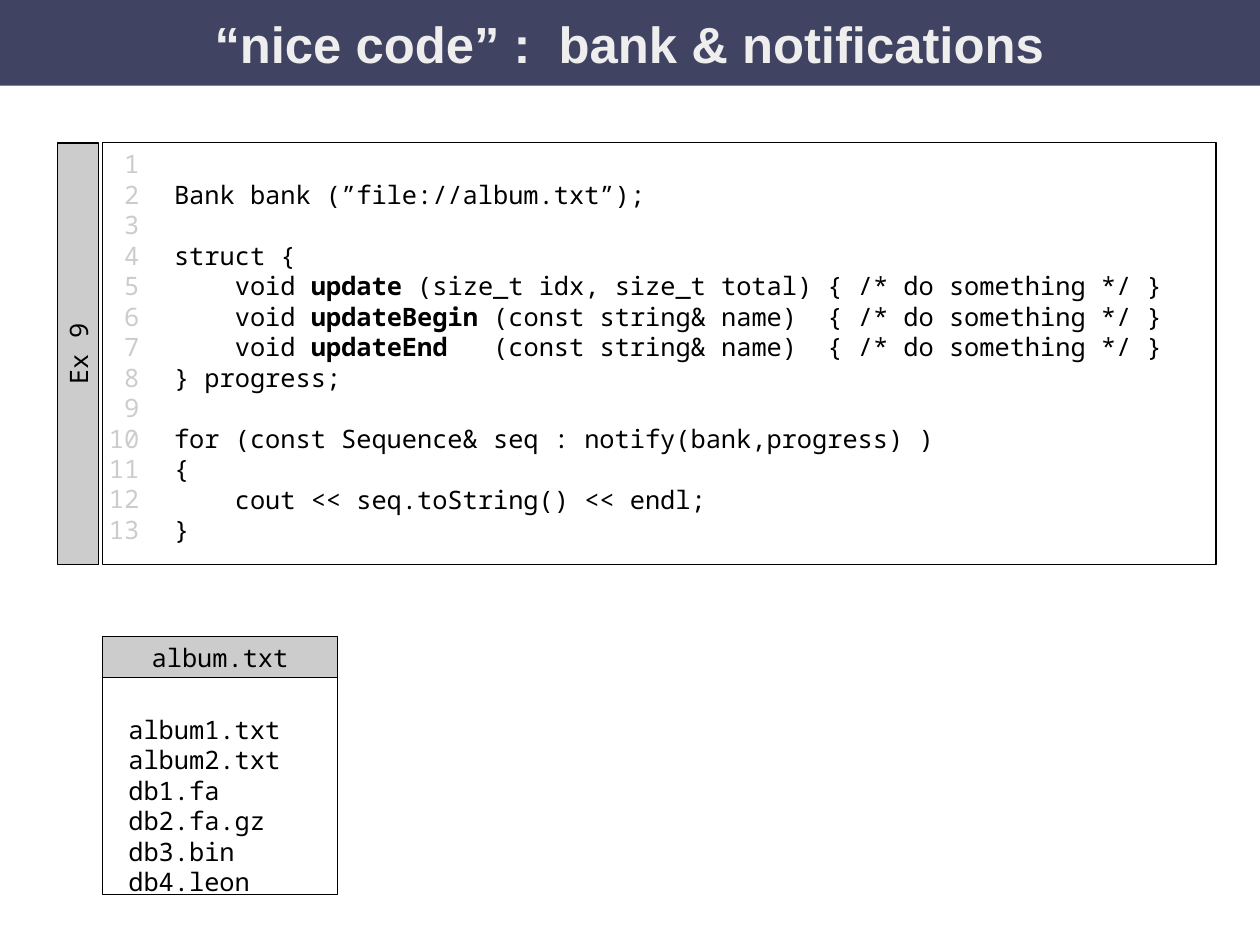
from pptx import Presentation
from pptx.dml.color import RGBColor
from pptx.enum.shapes import MSO_SHAPE
from pptx.enum.text import MSO_ANCHOR, PP_ALIGN
from pptx.util import Inches, Pt

# Content: each line is a list of pieces, every second piece is bold;
# an empty line is a gap before the next one
TITLE = "“nice code” :  bank & notifications"
LABEL = "Ex 9"
CODE = [
    [],
    ["Bank bank (”file://album.txt”);"],
    [],
    ["struct {"],
    ["    void ", "update", " (size_t idx, size_t total) { /* do something */ }"],
    ["    void ", "updateBegin", " (const string& name)  { /* do something */ }"],
    ["    void ", "updateEnd", "   (const string& name)  { /* do something */ }"],
    ["} progress;"],
    [],
    ["for (const Sequence& seq : notify(bank,progress) )"],
    ["{"],
    ["    cout << seq.toString() << endl;"],
    ["}"],
]
ALBUM = "album.txt"
FILES = ["album1.txt", "album2.txt", "db1.fa", "db2.fa.gz", "db3.bin", "db4.leon"]

# Colours and sizes
NAVY = RGBColor(0x41, 0x43, 0x63)
PALE = RGBColor(0xEE, 0xEE, 0xEE)
GREY = RGBColor(0xCC, 0xCC, 0xCC)
BLACK = RGBColor(0, 0, 0)
MONO = "Noto Sans Mono"
WIDE, HIGH = 28 / 2.54, 21 / 2.54  # 28 by 21 cm
SIZE = 16
PITCH = 1.2 * SIZE      # line height in points
CHAR = 0.6 * SIZE / 72  # letter width in inches
PAD = 0.09
LEFT, TOP = 0.9, 1.25
CODE_H, BAR = 3.69, 0.36

deck = Presentation()
deck.slide_width, deck.slide_height = Inches(WIDE), Inches(HIGH)
slide = deck.slides.add_slide(deck.slide_layouts[6])


def write(shape, lines, size=SIZE, font=MONO, color=BLACK, bold=False,
          align=PP_ALIGN.LEFT, anchor=MSO_ANCHOR.TOP, left=PAD, right=PAD):
    frame = shape.text_frame
    frame.word_wrap = True
    frame.vertical_anchor = anchor
    frame.margin_left, frame.margin_right = Inches(left), Inches(right)
    frame.margin_top = frame.margin_bottom = Inches(0.05)
    gap, first = 0, True
    for line in lines:
        if not line:
            gap += PITCH
            continue
        if first:
            para = frame.paragraphs[0]
            frame.margin_top += Pt(gap)
        else:
            para = frame.add_paragraph()
            para.space_before = Pt(gap)
        gap, first = 0, False
        para.alignment = align
        for spot, piece in enumerate(line):
            run = para.add_run()
            run.text = piece
            run.font.size, run.font.name = Pt(size), font
            run.font.bold = bold or spot % 2 == 1
            run.font.color.rgb = color


def panel(x, y, w, h, fill=None, edge=BLACK):
    box = slide.shapes.add_shape(
        MSO_SHAPE.RECTANGLE, Inches(x), Inches(y), Inches(w), Inches(h))
    box.shadow.inherit = False
    if fill is None:
        box.fill.background()
    else:
        box.fill.solid()
        box.fill.fore_color.rgb = fill
    if edge is None:
        box.line.fill.background()
    else:
        box.line.color.rgb = edge
        box.line.width = Pt(0)
    return box


# Code with its side label
write(panel(LEFT, TOP, 9.74, CODE_H), CODE, left=PAD + 4 * CHAR)
mid_x, mid_y = 0.68, TOP + CODE_H / 2
side = panel(mid_x - CODE_H / 2, mid_y - BAR / 2, CODE_H, BAR, fill=GREY)
side.rotation = 270
write(side, [[LABEL]], align=PP_ALIGN.CENTER)

# Title band
write(panel(0, 0, WIDE, 0.75, fill=NAVY, edge=None), [[TITLE]], size=32,
      font="Arial", color=PALE, bold=True, align=PP_ALIGN.CENTER,
      anchor=MSO_ANCHOR.MIDDLE)

# Album file
album_y, album_w = 5.57, 2.05
write(panel(LEFT, album_y + BAR, album_w, 1.9),
      [[]] + [[name] for name in FILES], left=PAD + CHAR)
write(panel(LEFT, album_y, album_w, BAR, fill=GREY), [[ALBUM]],
      align=PP_ALIGN.CENTER)

# Line numbers
nums = slide.shapes.add_textbox(
    Inches(0.86), Inches(TOP), Inches(0.5), Inches(3.44))
write(nums, [[str(n)] for n in range(1, len(CODE) + 1)], color=GREY,
      align=PP_ALIGN.RIGHT, left=0, right=0.14)

deck.save("out.pptx")
